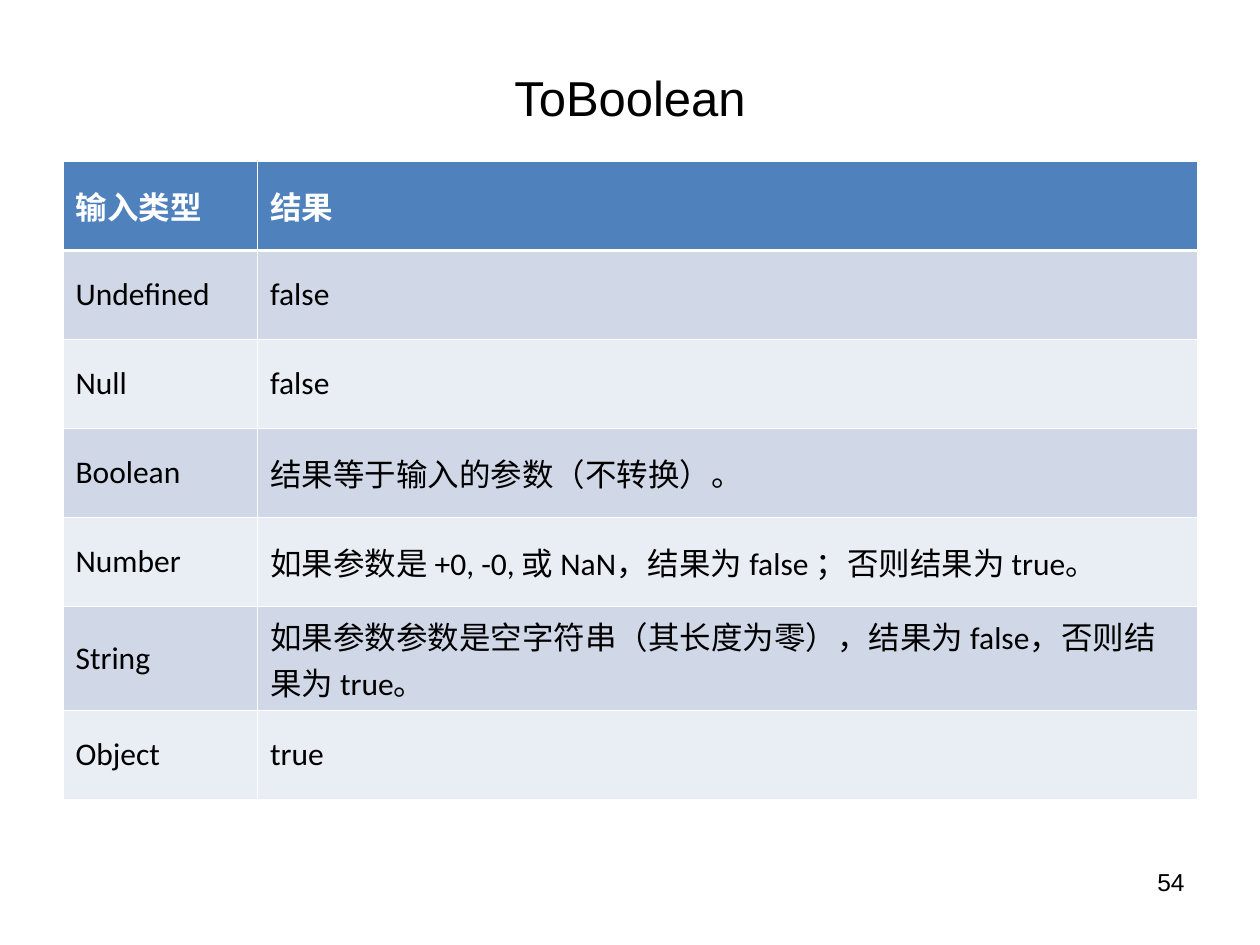
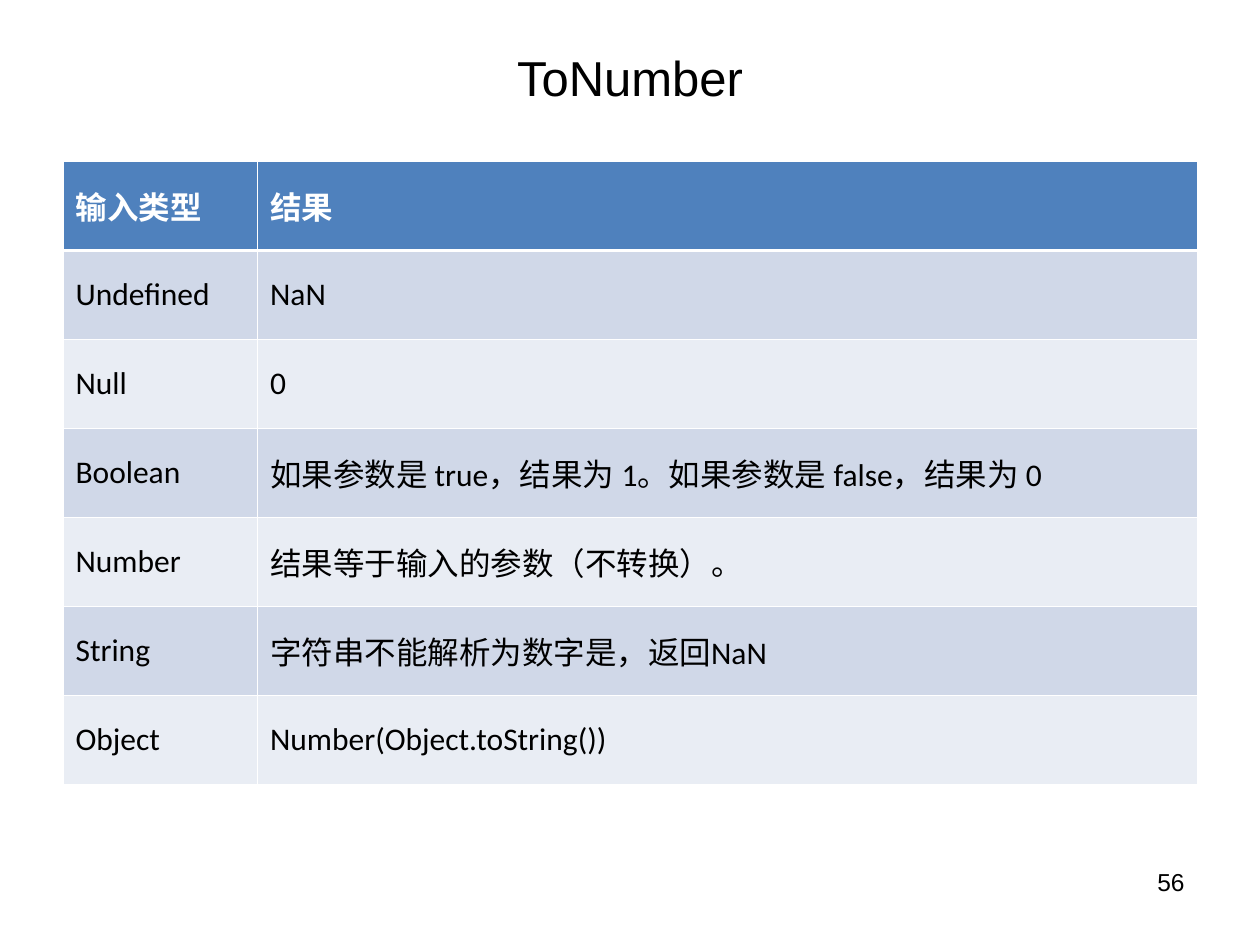
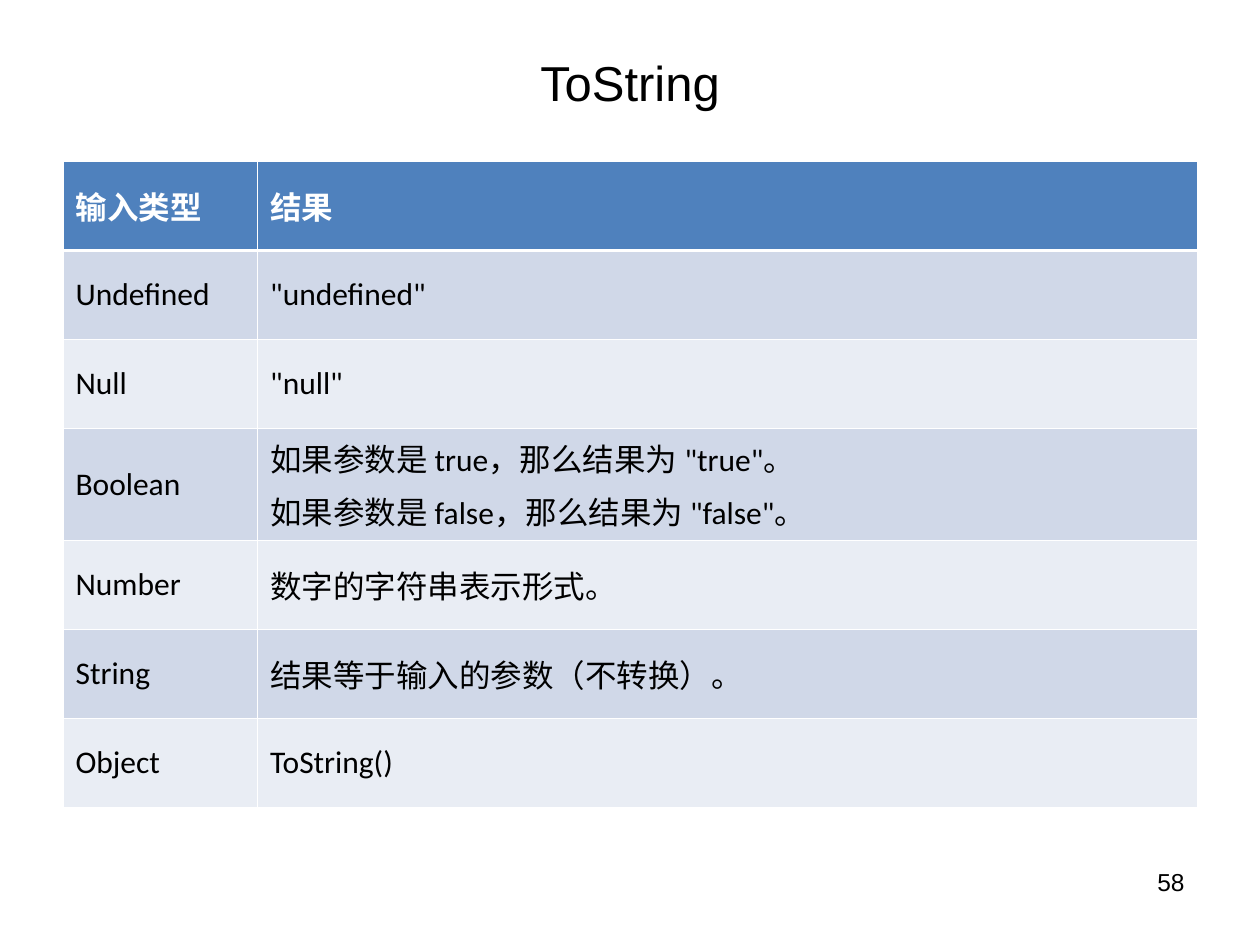
"""Build three slides that tabulate type conversion rules."""
from dataclasses import dataclass, field

import lxml.etree
import pptx
import pptx.dml.color
import pptx.enum.text
import pptx.oxml.ns
import pptx.util

Pt = pptx.util.Pt
ALIGN = pptx.enum.text.PP_ALIGN
MIDDLE = pptx.enum.text.MSO_ANCHOR.MIDDLE

WHITE, BLACK = "FFFFFF", "000000"
HEADER_FILL = "4F81BD"
BAND_FILLS = ("D0D8E8", "E9EDF4")
LEFT, WIDTH = 36, 648
TITLE_TOP, TABLE_TOP = 21.6, 92.2
ROW_HEIGHT = 50.9
COLUMN_WIDTHS = (111.2, 536.8)
THIN, THICK = 0.45, 1.47

TITLE_FORMAT = {"name": "Arial", "size": Pt(28), "bold": False}
NUMBER_FORMAT = {"name": "Arial", "size": Pt(14)}
HEADER_FORMAT = {"name": "Calibri", "size": Pt(18), "bold": True}
BODY_FORMAT = {**HEADER_FORMAT, "bold": False}

HEADINGS = ("输入类型", "结果")
INPUT_TYPES = ("Undefined", "Null", "Boolean", "Number", "String", "Object")
UNCHANGED = "结果等于输入的参数（不转换）。"


@dataclass(frozen=True)
class Conversion:
    """One conversion slide, with a result for each input type."""

    title: str
    title_height: float
    number: int
    results: tuple[str, ...]
    tall_rows: dict[str, float] = field(default_factory=dict)


CONVERSIONS = (
    Conversion("ToBoolean", 67, 54, (
        "false",
        "false",
        UNCHANGED,
        "如果参数是 +0, -0, 或 NaN，结果为 false ；否则结果为 true。",
        "如果参数参数是空字符串（其长度为零），结果为 false，否则结果为 true。",
        "true",
    ), {"String": 59.4}),
    Conversion("ToNumber", 44.4, 56, (
        "NaN",
        "0",
        "如果参数是 true，结果为 1。如果参数是 false，结果为 0",
        UNCHANGED,
        "字符串不能解析为数字是，返回NaN",
        "Number(Object.toString())",
    )),
    Conversion("ToString", 50, 58, (
        '"undefined"',
        '"null"',
        '如果参数是 true，那么结果为 "true"。\n如果参数是 false，那么结果为 "false"。',
        "数字的字符串表示形式。",
        UNCHANGED,
        "ToString()",
    ), {"Boolean": 64}),
)


def color(value: str) -> pptx.dml.color.RGBColor:
    """Return the colour for a hex string."""
    return pptx.dml.color.RGBColor.from_string(value)


def write_text(frame, text: str, font_format: dict, ink: str = BLACK,
               align=ALIGN.LEFT, space_before: float = 0) -> None:
    """Write each line of text as a formatted paragraph."""
    frame.text = text
    for para in frame.paragraphs:
        para.alignment = align
        para.space_before = Pt(space_before)
        for span in para.runs:
            for name, value in font_format.items():
                setattr(span.font, name, value)
            span.font.color.rgb = color(ink)


def add_borders(cell, top: float, bottom: float) -> None:
    """Draw white lines on the four sides of a cell."""
    properties = cell._tc.get_or_add_tcPr()
    qn = pptx.oxml.ns.qn
    for side, width in {"L": THIN, "R": THIN, "T": top, "B": bottom}.items():
        line = lxml.etree.SubElement(properties, qn(f"a:ln{side}"), w=str(Pt(width)))
        fill = lxml.etree.SubElement(line, qn("a:solidFill"))
        lxml.etree.SubElement(fill, qn("a:srgbClr"), val=WHITE)


def add_title(page, conversion: Conversion) -> None:
    """Place and format the title placeholder."""
    title = page.shapes.title
    title.left, title.top = Pt(LEFT), Pt(TITLE_TOP)
    title.width, title.height = Pt(WIDTH), Pt(conversion.title_height)
    title.text_frame.vertical_anchor = MIDDLE
    write_text(title.text_frame, conversion.title, TITLE_FORMAT, align=ALIGN.CENTER)


def add_page_number(page, number: int) -> None:
    """Add the page number at the lower right."""
    box = page.shapes.add_textbox(Pt(516), Pt(491.8), Pt(168), Pt(37.4))
    box.text_frame.word_wrap = True
    write_text(box.text_frame, str(number), NUMBER_FORMAT, align=ALIGN.RIGHT)


def add_results_table(page, conversion: Conversion) -> None:
    """Add the table of input types and results."""
    rows = [HEADINGS, *zip(INPUT_TYPES, conversion.results)]
    heights = [conversion.tall_rows.get(row[0], ROW_HEIGHT) for row in rows]
    frame = page.shapes.add_table(len(rows), len(HEADINGS), Pt(LEFT), Pt(TABLE_TOP),
                                  Pt(WIDTH), Pt(sum(heights)))
    table = frame.table
    for column, width in zip(table.columns, COLUMN_WIDTHS):
        column.width = Pt(width)
    for row_index, (row, height) in enumerate(zip(rows, heights)):
        table.rows[row_index].height = Pt(height)
        is_header = row_index == 0
        fill = HEADER_FILL if is_header else BAND_FILLS[(row_index - 1) % 2]
        for column_index, text in enumerate(row):
            cell = table.cell(row_index, column_index)
            cell.vertical_anchor = MIDDLE
            add_borders(cell, THICK if row_index == 1 else THIN,
                        THICK if is_header else THIN)
            cell.fill.solid()
            cell.fill.fore_color.rgb = color(fill)
            write_text(cell.text_frame, text,
                       HEADER_FORMAT if is_header else BODY_FORMAT,
                       WHITE if is_header else BLACK, space_before=4.5)


def main() -> None:
    """Build and save the deck."""
    deck = pptx.Presentation()
    deck.slide_width, deck.slide_height = Pt(720), Pt(540)
    title_only = deck.slide_layouts.get_by_name("Title Only")
    for conversion in CONVERSIONS:
        page = deck.slides.add_slide(title_only)
        add_page_number(page, conversion.number)
        add_title(page, conversion)
        add_results_table(page, conversion)
    deck.save("out.pptx")


if __name__ == "__main__":
    main()
